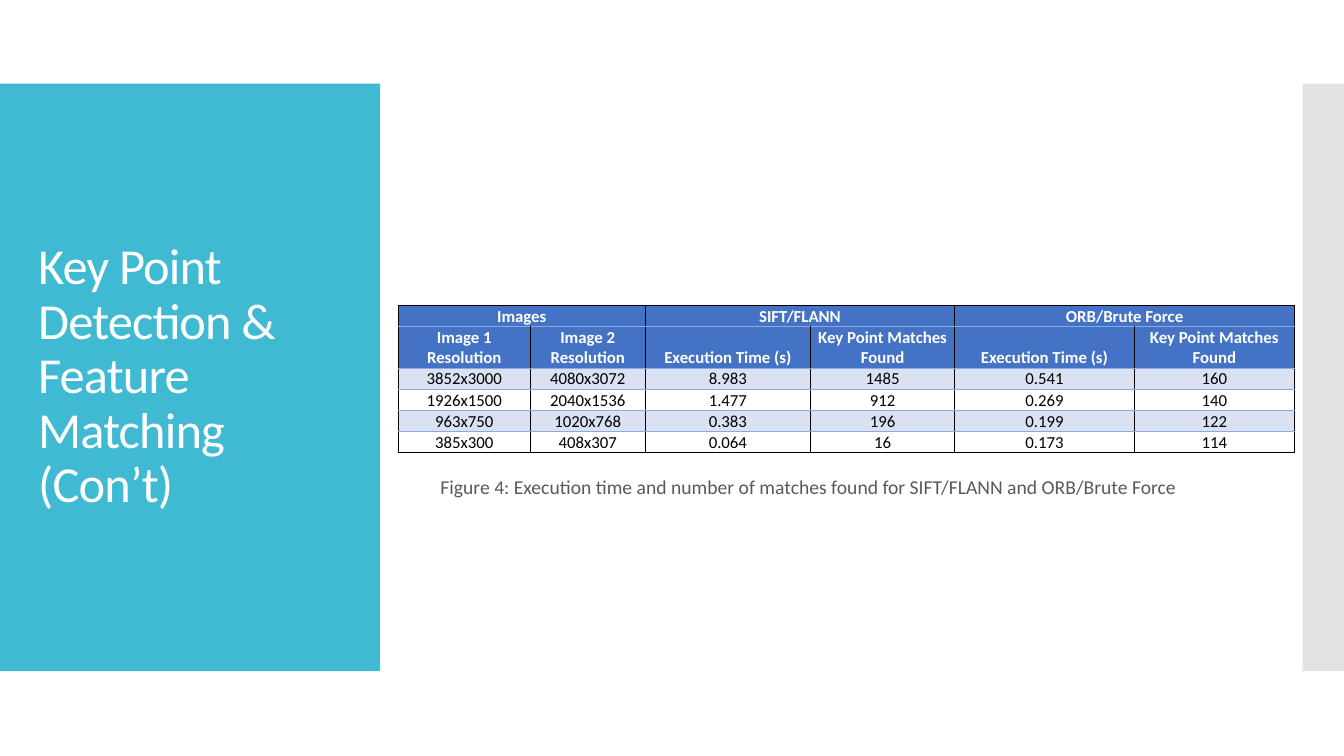
from pptx import Presentation
from pptx.dml.color import RGBColor
from pptx.enum.shapes import MSO_SHAPE
from pptx.enum.text import MSO_ANCHOR, PP_ALIGN
from pptx.oxml import parse_xml
from pptx.oxml.ns import nsdecls, qn
from pptx.util import Inches, Pt
from lxml import etree


def rgb(color):
    return RGBColor.from_string(color)


def write(tf, text, size, color, bold=False, align=PP_ALIGN.LEFT, line_spacing=None, tracking=None):
    p = tf.paragraphs[0]
    p.alignment = align
    if line_spacing:
        p.line_spacing = line_spacing
    r = p.add_run()
    r.text = text
    r.font.name = "Calibri"
    r.font.size = Pt(size)
    r.font.bold = bold
    r.font.color.rgb = rgb(color)
    if tracking:
        r.font._element.set("spc", str(tracking))


prs = Presentation()
prs.slide_width = Inches(13.33)
prs.slide_height = Inches(7.5)
s = prs.slides.add_slide(prs.slide_layouts[6])

for left, width, color, alpha in [(0, 3.77, "40BAD2", None), (12.92, 0.41, "C8C8C8", 50000)]:
    sp = s.shapes.add_shape(MSO_SHAPE.RECTANGLE, Inches(left), Inches(0.83), Inches(width), Inches(5.83))
    sp.shadow.inherit = False
    sp.line.fill.background()
    sp.fill.solid()
    sp.fill.fore_color.rgb = rgb(color)
    if alpha:
        clr = sp._element.spPr.find(qn("a:solidFill"))[0]
        etree.SubElement(clr, qn("a:alpha")).set("val", str(alpha))

title = "Key Point Detection & Feature Matching (Con’t)"
caption = "Figure 4: Execution time and number of matches found for SIFT/FLANN and ORB/Brute Force"
for text, box, style in [
    (title, (0.28, 1.23, 3.22, 5.03), dict(size=36, color="FFFFFF", line_spacing=0.9, tracking=-60)),
    (caption, (4.27, 4.72, 8, 0.28), dict(size=14, color="595959", line_spacing=0.7)),
]:
    tf = s.shapes.add_textbox(*[Inches(v) for v in box]).text_frame
    tf.word_wrap = True
    tf.vertical_anchor = MSO_ANCHOR.MIDDLE
    write(tf, text, **style)

rows = [
    ["Images", "", "SIFT/FLANN", "", "ORB/Brute Force", ""],
    ["Image 1 Resolution", "Image 2 Resolution"] + ["Execution Time (s)", "Key Point Matches Found"] * 2,
    ["3852x3000", "4080x3072", "8.983", "1485", "0.541", "160"],
    ["1926x1500", "2040x1536", "1.477", "912", "0.269", "140"],
    ["963x750", "1020x768", "0.383", "196", "0.199", "122"],
    ["385x300", "408x307", "0.064", "16", "0.173", "114"],
]
widths = [1.31, 1.14, 1.64, 1.43, 1.78, 1.59]
heights = [0.21, 0.41, 0.21, 0.21, 0.21, 0.21]
fills = ["4472C4", "4472C4", "D9E1F2", None, "D9E1F2", None]
last_row, last_col = len(rows) - 1, len(widths) - 1

table = s.shapes.add_table(
    len(rows), len(widths), Inches(3.95), Inches(3.03), Inches(sum(widths)), Inches(sum(heights))
).table
table.first_row = False
table.horz_banding = False
for col, width in zip(table.columns, widths):
    col.width = Inches(width)
for row, height in zip(table.rows, heights):
    row.height = Inches(height)
for j in range(0, len(widths), 2):
    table.cell(0, j).merge(table.cell(0, j + 1))

for i, values in enumerate(rows):
    header = i < 2
    for j, text in enumerate(values):
        cell = table.cell(i, j)
        if cell.is_spanned:
            continue
        right = j + cell.span_width - 1 if cell.is_merge_origin else j
        cell.vertical_anchor = MSO_ANCHOR.BOTTOM
        cell.margin_left = cell.margin_right = cell.margin_top = Inches(0.01)
        cell.margin_bottom = 0
        write(cell.text_frame, text, 12, "FFFFFF" if header else "000000", bold=header, align=PP_ALIGN.CENTER)
        for side, outer, inner in [
            ("L", j == 0, "000000"),
            ("R", right == last_col, "000000"),
            ("T", i == 0, "8EA9DB"),
            ("B", i == last_row, "8EA9DB"),
        ]:
            color, weight = ("000000", 1) if outer else (inner, 0.5)
            cell._tc.get_or_add_tcPr().append(parse_xml(
                f'<a:ln{side} {nsdecls("a")} w="{Pt(weight)}"><a:solidFill>'
                f'<a:srgbClr val="{color}"/></a:solidFill></a:ln{side}>'
            ))
        if fills[i]:
            cell.fill.solid()
            cell.fill.fore_color.rgb = rgb(fills[i])
        else:
            cell.fill.background()

prs.save("out.pptx")
